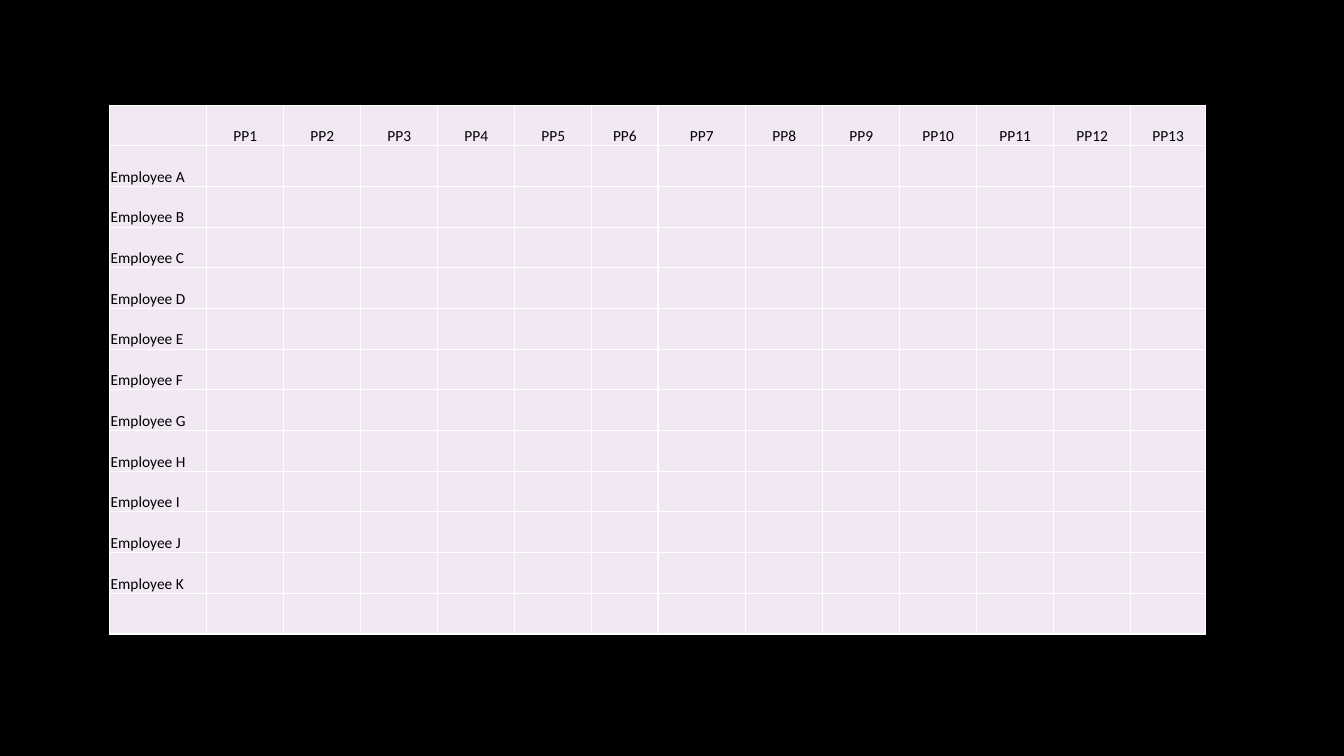
"""Build a slide with an employee by pay period grid."""
import lxml.etree
import pptx
import pptx.dml.color
import pptx.enum.text
import pptx.oxml.ns
import pptx.util

Pt = pptx.util.Pt
RGBColor = pptx.dml.color.RGBColor
PP_ALIGN = pptx.enum.text.PP_ALIGN
qn = pptx.oxml.ns.qn

PERIODS = [f"PP{number}" for number in range(1, 14)]
EMPLOYEES = [f"Employee {letter}" for letter in "ABCDEFGHIJK"]
GRID = [["", *PERIODS]]
GRID += [[employee] + [""] * len(PERIODS) for employee in EMPLOYEES]
GRID.append([""] * (len(PERIODS) + 1))

NAME_WIDTH, PERIOD_WIDTH, ROW_HEIGHT = 69.5, 55, 29.08
SPECIAL_WIDTHS = {"": NAME_WIDTH, "PP6": 47.3, "PP7": 62.7, "PP13": 53.5}
LEFT, TOP = 78.3, 75.1

BLACK = RGBColor(0x00, 0x00, 0x00)
WHITE = RGBColor(0xFF, 0xFF, 0xFF)
LILAC = RGBColor(0xF1, 0xE8, 0xF4)


def add_borders(cell):
    properties = cell._tc.get_or_add_tcPr()
    for side in ("a:lnL", "a:lnR", "a:lnT", "a:lnB"):
        border = lxml.etree.SubElement(properties, qn(side), w=str(Pt(1)))
        fill = lxml.etree.SubElement(border, qn("a:solidFill"))
        lxml.etree.SubElement(fill, qn("a:srgbClr"), val=str(WHITE))


def fill_cell(cell, label, align):
    add_borders(cell)
    cell.fill.solid()
    cell.fill.fore_color.rgb = LILAC
    cell.margin_left = cell.margin_right = cell.margin_top = Pt(0.75)
    cell.margin_bottom = Pt(0)
    cell.vertical_anchor = pptx.enum.text.MSO_ANCHOR.BOTTOM
    if label:
        paragraph = cell.text_frame.paragraphs[0]
        paragraph.alignment = align
        run = paragraph.add_run()
        run.text = label
        run.font.name = "Calibri"
        run.font.size = Pt(11)
        run.font.color.rgb = BLACK


def main():
    deck = pptx.Presentation()
    deck.slide_width, deck.slide_height = Pt(960), Pt(540)
    slide = deck.slides.add_slide(deck.slide_layouts[6])
    slide.background.fill.solid()
    slide.background.fill.fore_color.rgb = BLACK

    widths = [SPECIAL_WIDTHS.get(heading, PERIOD_WIDTH) for heading in GRID[0]]
    schedule = slide.shapes.add_table(
        len(GRID), len(widths), Pt(LEFT), Pt(TOP),
        Pt(sum(widths)), Pt(ROW_HEIGHT * len(GRID))).table
    schedule.first_row = schedule.horz_banding = False
    for column, width in zip(schedule.columns, widths):
        column.width = Pt(width)
    for row_index, labels in enumerate(GRID):
        schedule.rows[row_index].height = Pt(ROW_HEIGHT)
        for column_index, label in enumerate(labels):
            align = PP_ALIGN.CENTER if column_index else PP_ALIGN.LEFT
            fill_cell(schedule.cell(row_index, column_index), label, align)

    deck.save("out.pptx")


if __name__ == "__main__":
    main()
